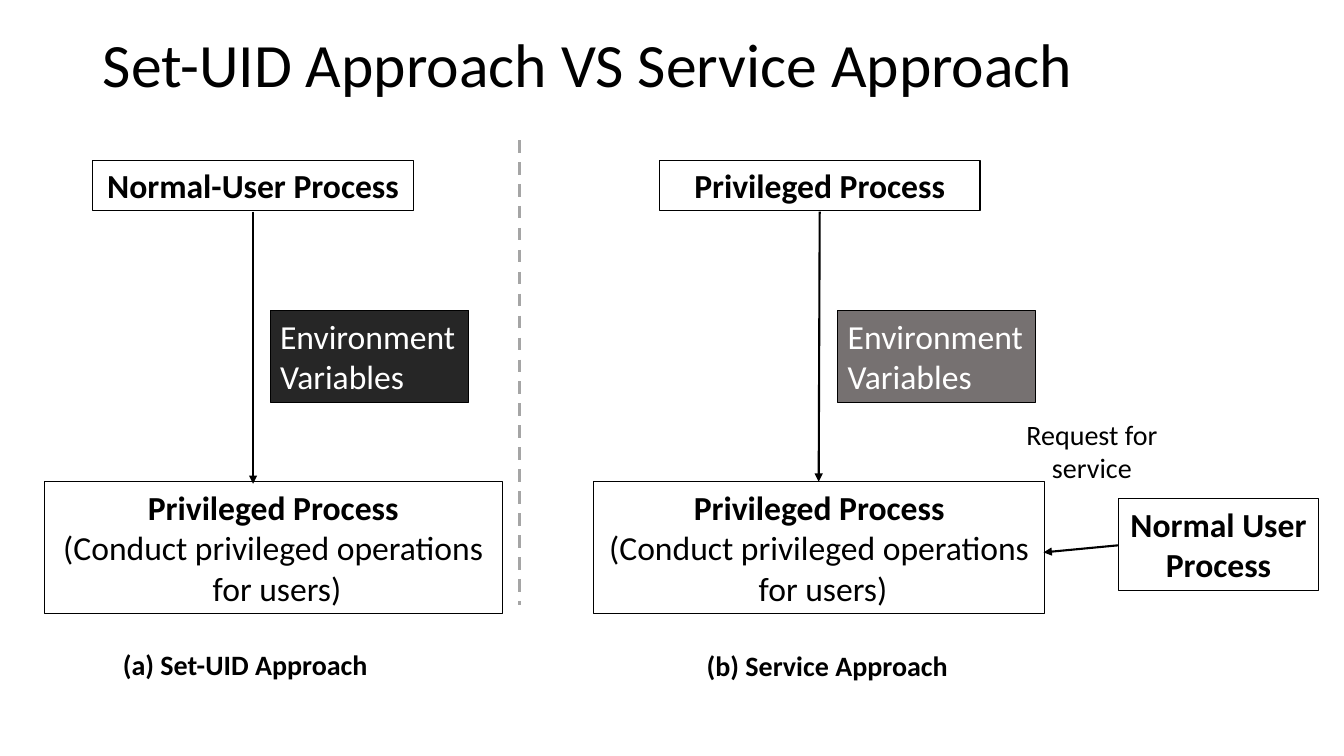
import pptx
import pptx.dml.color
import pptx.enum.dml
import pptx.enum.shapes
import pptx.enum.text
import pptx.oxml
import pptx.oxml.ns
import pptx.util
from pptx.util import Inches

ALIGN = pptx.enum.text.PP_ALIGN
ANCHOR = pptx.enum.text.MSO_ANCHOR


def color(hex_string):
    return pptx.dml.color.RGBColor.from_string(hex_string)


def write_text(shape, text, size=24, font_color="000000", bold_lines=0,
               align=ALIGN.CENTER, anchor=ANCHOR.TOP):
    """Fill the shape with one paragraph per line; the first bold_lines are bold."""
    frame = shape.text_frame
    frame.word_wrap = True
    frame.vertical_anchor = anchor
    frame.text = text
    for index, paragraph in enumerate(frame.paragraphs):
        paragraph.alignment = align
        paragraph.font.name = "Calibri"
        paragraph.font.size = pptx.util.Pt(size)
        paragraph.font.bold = index < bold_lines
        paragraph.font.color.rgb = color(font_color)


presentation = pptx.Presentation()
presentation.slide_width = Inches(13.33)
presentation.slide_height = Inches(7.5)
slide = presentation.slides.add_slide(presentation.slide_layouts[5])

title = slide.shapes.title
title.left, title.top = Inches(0.92), Inches(0.11)
title.width, title.height = Inches(11.5), Inches(1.12)
write_text(title, "Set-UID Approach VS Service Approach", size=44,
           align=ALIGN.LEFT, anchor=ANCHOR.MIDDLE)
title.text_frame.paragraphs[0].line_spacing = 0.9

# Process boxes: text, left, top, width, height
operations = "Privileged Process\n(Conduct privileged operations\n for users)"
processes = [
    ("Normal-User Process", 0.92, 1.59, 3.18, 0.5),
    (operations, 0.44, 4.78, 4.54, 1.31),
    ("Privileged Process", 6.54, 1.59, 3.18, 0.5),
    (operations, 5.89, 4.78, 4.47, 1.31),
    ("Normal User Process", 11.09, 4.95, 1.99, 0.91),
]
variables = [
    ("Environment\nVariables", 2.68, 3.08, 1.97, 0.91, "262626"),
    ("Environment\nVariables", 8.31, 3.08, 1.96, 0.91, "767171"),
]
for text, left, top, width, height, *fill in processes + variables:
    box = slide.shapes.add_shape(
        pptx.enum.shapes.MSO_SHAPE.RECTANGLE,
        Inches(left), Inches(top), Inches(width), Inches(height))
    box.shadow.inherit = False
    box.line.color.rgb = color("000000")
    box.line.width = pptx.util.Pt(0.75)
    if fill:
        box.fill.solid()
        box.fill.fore_color.rgb = color(fill[0])
        write_text(box, text, font_color="FFFFFF", align=ALIGN.LEFT)
    else:
        box.fill.background()
        write_text(box, text, bold_lines=1)

# Captions and the request label: text, left, top, width, height, bold lines, alignment
labels = [
    ("(a) Set-UID Approach", 1.12, 6.37, 3.18, 0.44, 1, ALIGN.LEFT),
    ("(b) Service Approach", 6.91, 6.38, 3.18, 0.44, 1, ALIGN.LEFT),
    ("Request for service", 10, 4.09, 1.66, 0.77, 0, ALIGN.CENTER),
]
for text, left, top, width, height, bold_lines, align in labels:
    label = slide.shapes.add_textbox(
        Inches(left), Inches(top), Inches(width), Inches(height))
    write_text(label, text, size=20, bold_lines=bold_lines, align=align)

# Arrows and the divider: start, end, color, width, is arrow
lines = [
    (2.51, 2.1, 2.51, 4.8, "000000", 1.5, True),
    (8.13, 2.1, 8.12, 4.78, "000000", 1.5, True),
    (11.09, 5.41, 10.35, 5.48, "000000", 1.5, True),
    (5.15, 1.39, 5.15, 6, "A5A5A5", 2.25, False),
]
for start_x, start_y, end_x, end_y, line_color, width, is_arrow in lines:
    connector = slide.shapes.add_connector(
        pptx.enum.shapes.MSO_CONNECTOR.STRAIGHT,
        Inches(start_x), Inches(start_y), Inches(end_x), Inches(end_y))
    connector.line.color.rgb = color(line_color)
    connector.line.width = pptx.util.Pt(width)
    if is_arrow:
        arrowhead = pptx.oxml.parse_xml(
            f'<a:tailEnd {pptx.oxml.ns.nsdecls("a")} type="triangle"/>')
        connector.line._get_or_add_ln().append(arrowhead)
    else:
        connector.line.dash_style = pptx.enum.dml.MSO_LINE.DASH
    connector._element.spPr.append(
        pptx.oxml.parse_xml(f'<a:effectLst {pptx.oxml.ns.nsdecls("a")}/>'))

presentation.save("out.pptx")
